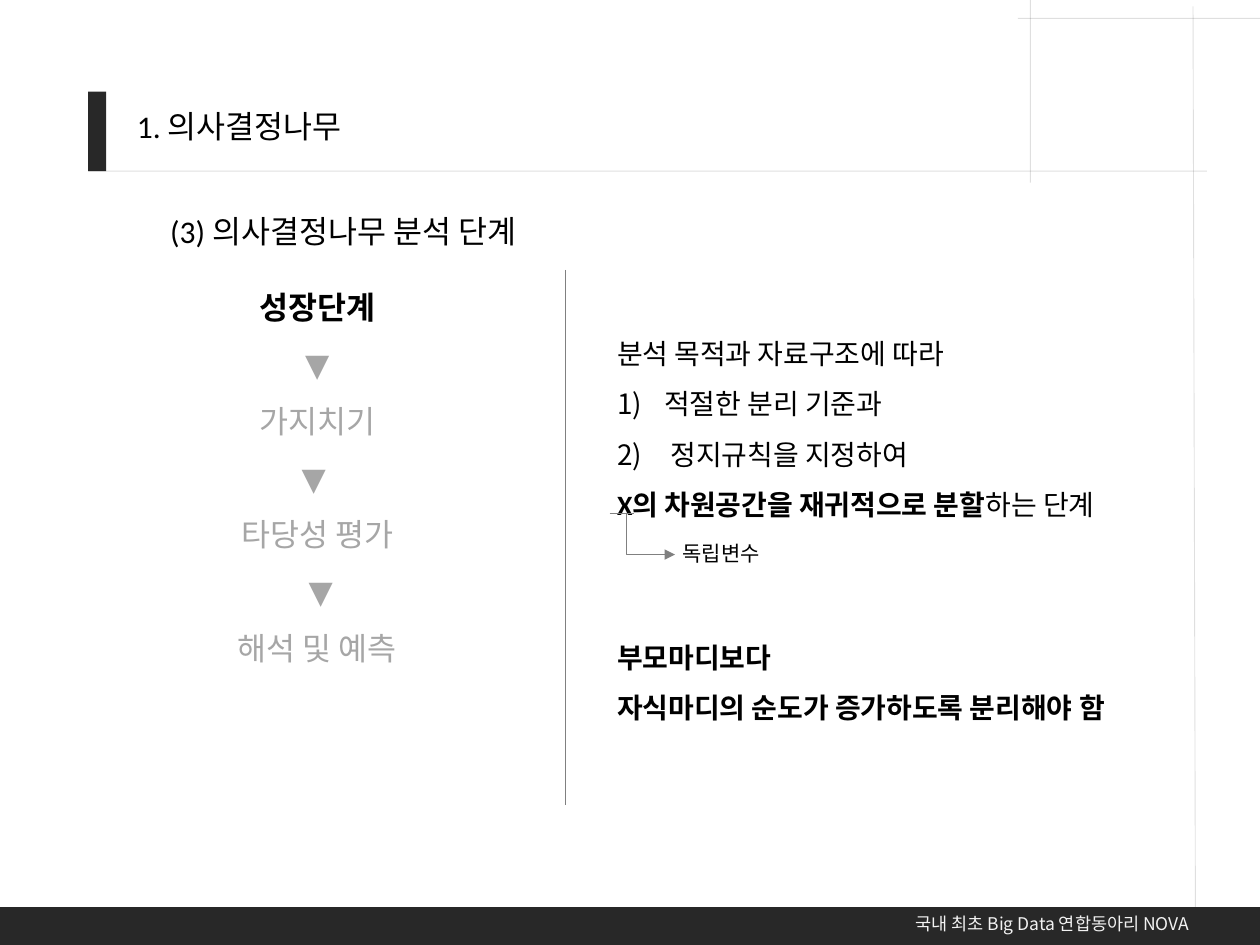
"""Build the decision tree growth stage slide."""
import pptx
import pptx.dml.color
import pptx.enum.shapes
import pptx.enum.text
import pptx.oxml
import pptx.oxml.ns
import pptx.util

Cm = pptx.util.Cm
HUES = {"ink": "000000", "bar": "282828", "rule": "0D0D0D",
        "mid": "808080", "dim": "A6A6A6", "pale": "F2F2F2"}


def hue(name):
    return pptx.dml.color.RGBColor.from_string(HUES[name])


def node(root, tag, **attrs):
    item = pptx.oxml.parse_xml(f"<a:{tag} {pptx.oxml.ns.nsdecls('a')}/>")
    for key, val in attrs.items():
        item.set(key, str(val))
    root.append(item)


def put(par, text, size=18, color="ink", bold=False, font="Calibri"):
    run = par.add_run()
    run.text = text
    run.font.size = pptx.util.Pt(size)
    run.font.bold = bold
    run.font.name = font
    run.font.color.rgb = hue(color)
    node(run.font._element, "ea", typeface="Noto Sans CJK KR")


class Deck:
    def __init__(self):
        self.file = pptx.Presentation()
        self.file.slide_width, self.file.slide_height = Cm(25.4), Cm(19.05)
        self.slide = self.file.slides.add_slide(self.file.slide_layouts[6])

    def rect(self, *box):
        kind = pptx.enum.shapes.MSO_SHAPE.RECTANGLE
        shape = self.slide.shapes.add_shape(kind, *map(Cm, box))
        shape.shadow.inherit = False
        shape.fill.solid()
        shape.fill.fore_color.rgb = hue("bar")
        shape.line.fill.background()

    def line(self, *ends, color="mid", alpha=None, bend=None):
        kinds = pptx.enum.shapes.MSO_CONNECTOR
        kind = kinds.STRAIGHT if bend is None else kinds.ELBOW
        line = self.slide.shapes.add_connector(kind, *map(Cm, ends))
        line.line.width = pptx.util.Pt(0.5)
        line.line.color.rgb = hue(color)
        props = line._element.spPr
        if alpha:
            tint = props.find(".//" + pptx.oxml.ns.qn("a:srgbClr"))
            node(tint, "alpha", val=alpha * 1000)
        if bend is not None:
            guides = props.find(".//" + pptx.oxml.ns.qn("a:avLst"))
            node(guides, "gd", name="adj1", fmla=f"val {bend}")
            node(line.line._get_or_add_ln(), "tailEnd", type="triangle")
        node(props, "effectLst")

    def text(self, box, rows, wrap=False, space=None, center=False, **style):
        """Fill a box with rows, each a list of (text, format) runs."""
        frame = self.slide.shapes.add_textbox(*map(Cm, box)).text_frame
        frame.word_wrap = wrap
        frame.auto_size = pptx.enum.text.MSO_AUTO_SIZE.SHAPE_TO_FIT_TEXT
        pars = []
        for num, row in enumerate(rows):
            par = frame.add_paragraph() if num else frame.paragraphs[0]
            if space:
                par.line_spacing = space
            if center:
                par.alignment = pptx.enum.text.PP_ALIGN.CENTER
            for words, extra in row:
                put(par, words, **{**style, **extra})
            pars.append(par)
        return pars

    def count(self, pars):
        for par in pars:
            props = par._p.get_or_add_pPr()
            props.set("marL", str(Cm(0.95)))
            props.set("indent", str(-Cm(0.95)))
            node(props, "buFont", typeface="+mj-lt")
            node(props, "buAutoNum", type="arabicParenR")


def main():
    deck = Deck()
    frame = {"color": "rule", "alpha": 12}
    deck.line(20.52, 0.37, 25.4, 0.37, **frame)
    deck.line(20.77, 0, 20.77, 3.68, **frame)
    deck.rect(1.78, 1.85, 0.36, 1.6)
    deck.line(1.78, 3.45, 24.33, 3.45, **frame)
    deck.line(24.05, 0.13, 24.1, 19.05, **frame)
    deck.rect(0, 18.29, 25.4, 0.76)
    deck.text((18.21, 18.29, 6.32, 0.68),
              [[("국내 최초 Big Data 연합동아리 NOVA", {})]],
              size=10, color="pale", font="Noto Sans CJK KR")

    deck.text((2.51, 2.03, 5, 1.02), [[("1. 의사결정나무", {})]])
    deck.text((3.18, 4.14, 8.08, 1.02),
              [[("(3) 의사결정나무 분석 단계", {})]])

    steps = ["▼", "가지치기", "▼ ", "타당성 평가", " ▼", "해석 및 예측"]
    rows = [[("성장단계", {"color": "ink", "bold": True})]]
    rows += [[(step, {})] for step in steps]
    deck.text((4.39, 5.31, 4.01, 8.33), rows,
              space=1.5, center=True, color="dim")
    deck.line(11.4, 5.44, 11.4, 16.23)

    pars = deck.text((12.19, 6.32, 14.43, 4.37), [
        [("분석 목적과 자료구조에 따라", {})],
        [("적절한 분리 기준과", {})],
        [(" 정지규칙을 지정하여", {})],
        [("X의 차원공간을 재귀적으로 분할", {"bold": True}),
         ("하는 단계", {})],
    ], wrap=True, space=1.5, size=16)
    deck.count(pars[1:3])

    deck.line(12.42, 10.36, 12.78, 10.36)
    deck.line(12.29, 10.36, 13.61, 11.18, bend=25100)
    deck.text((13.51, 10.77, 2.24, 0.76), [[("독립변수", {})]], size=12)
    deck.text((12.19, 12.45, 11.28, 2.31), [
        [("부모마디보다", {})],
        [("자식마디의 순도가 증가하도록 분리해야 함", {})],
    ], space=1.5, size=16, bold=True)
    deck.file.save("out.pptx")


if __name__ == "__main__":
    main()
